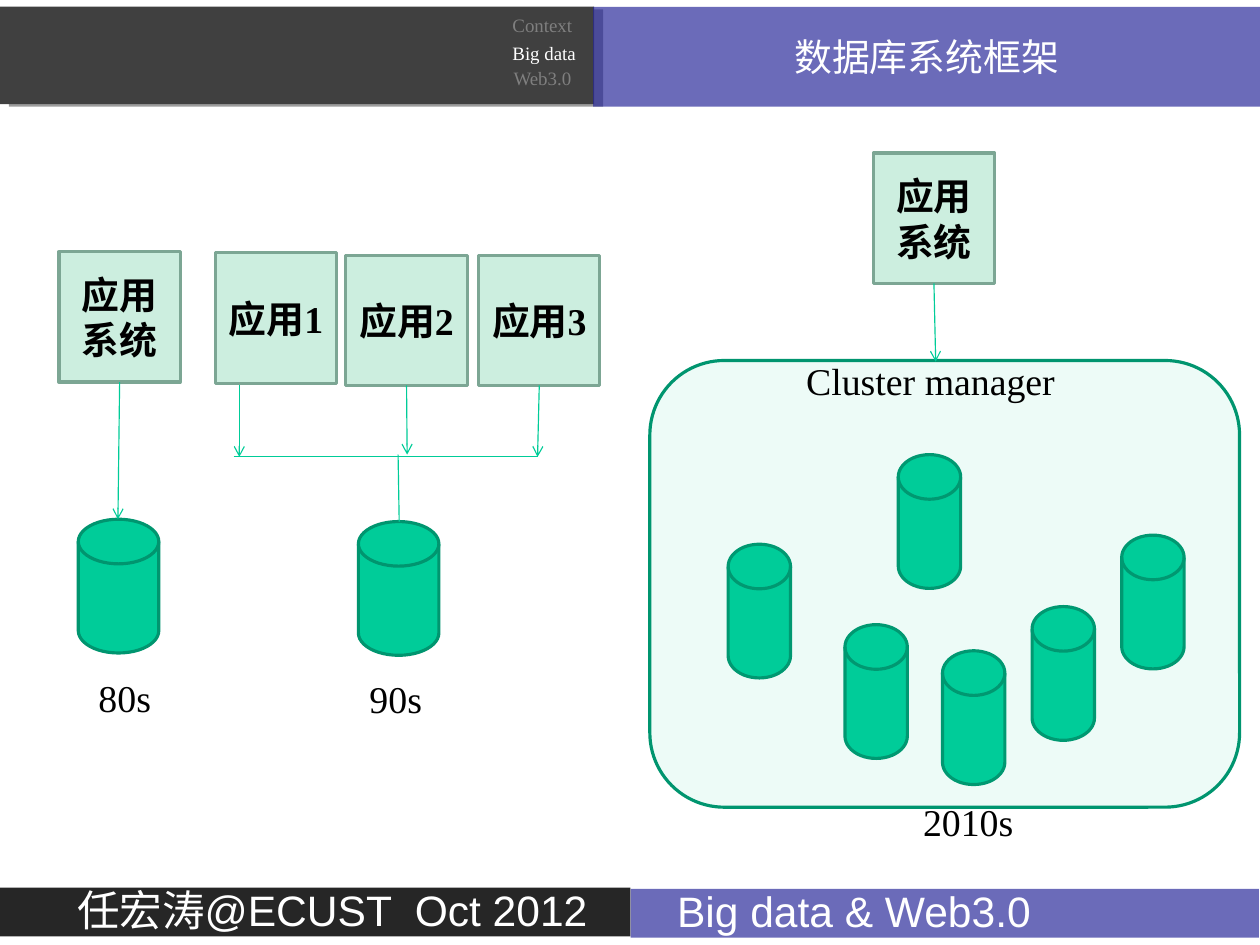
from dataclasses import dataclass
from typing import Optional

import pptx
import pptx.dml.color
import pptx.enum.shapes
import pptx.enum.text
import pptx.oxml
import pptx.oxml.ns
import pptx.util
from lxml import etree
from pptx.util import Inches

SHAPES = pptx.enum.shapes.MSO_SHAPE
ALIGN = pptx.enum.text.PP_ALIGN
ANCHOR = pptx.enum.text.MSO_ANCHOR
SERIF, SANS = "Times New Roman", "Arial"
BLACK, WHITE, GREY = "000000", "FFFFFF", "7F7F7F"
BANNER_BLUE, GREEN, DARK_GREEN, LINE_GREEN = "262699", "00CC99", "00956F", "00CC98"
SLIDE_SIZE = (pptx.util.Emu(10158413), pptx.util.Emu(7621588))
APP_SIZE = (1.07, 1.15)
DISK_HEIGHT = 1.18


@dataclass
class Application:
    left: float
    top: float
    text: str
    arrow_end: Optional[tuple[float, float]] = None


@dataclass
class Disk:
    left: float
    top: float
    width: float = 0.55


@dataclass
class Label:
    left: float
    top: float
    width: float
    text: str
    size: float = 24
    color: str = BLACK


APPLICATIONS = [
    Application(0.52, 2.22, "应用系统", (1.04, 4.58)),
    Application(1.9, 2.23, "应用1"),
    Application(3.05, 2.25, "应用2", (3.59, 4.01)),
    Application(4.22, 2.25, "应用3", (4.74, 4.03)),
    Application(7.7, 1.35, "应用系统", (8.25, 3.19)),
]
DISKS = [
    Disk(0.69, 4.58, 0.71), Disk(3.16, 4.6, 0.71),
    Disk(6.42, 4.8), Disk(7.92, 4.01), Disk(9.89, 4.72),
    Disk(7.45, 5.51), Disk(8.31, 5.74), Disk(9.1, 5.35),
]
LABELS = [
    Label(4.42, 0.07, 0.73, "Context", 12, GREY),
    Label(4.42, 0.32, 0.76, "Big data", 12, WHITE),
    Label(4.43, 0.54, 0.72, "Web3.0", 12, GREY),
    Label(0.77, 5.9, 0.66, "80s"),
    Label(3.16, 5.91, 0.66, "90s"),
    Label(8.04, 7, 1, "2010s"),
    Label(7.01, 3.11, 2.4, "Cluster manager"),
]


def rgb(color: str) -> pptx.dml.color.RGBColor:
    return pptx.dml.color.RGBColor.from_string(color)


def write_text(shape, text: str, *, size: float = 24, font: str = SERIF, color: str = BLACK,
               bold: bool = False, align=ALIGN.LEFT, anchor=ANCHOR.TOP, wrap: bool = True,
               margins: tuple[float, float] = (0.1, 0.05), line_spacing: Optional[float] = None) -> None:
    frame = shape.text_frame
    frame.word_wrap = wrap
    if not wrap:
        frame.auto_size = pptx.enum.text.MSO_AUTO_SIZE.SHAPE_TO_FIT_TEXT
    frame.vertical_anchor = anchor
    frame.margin_left = frame.margin_right = Inches(margins[0])
    frame.margin_top = frame.margin_bottom = Inches(margins[1])
    paragraph = frame.paragraphs[0]
    paragraph.alignment = align
    paragraph.line_spacing = line_spacing
    run = paragraph.add_run()
    run.text = text
    run.font.size = pptx.util.Pt(size)
    run.font.name = font
    run.font.bold = bold
    run.font.color.rgb = rgb(color)


def add_block(slide, kind, left: float, top: float, width: float, height: float, fill: str,
              line: Optional[str] = None, opacity: int = 100):
    """Add a flat preset shape; opacity is in percent."""
    shape = slide.shapes.add_shape(kind, Inches(left), Inches(top), Inches(width), Inches(height))
    shape.shadow.inherit = False
    shape.fill.solid()
    shape.fill.fore_color.rgb = rgb(fill)
    if opacity < 100:
        color = shape._element.spPr.find(".//" + pptx.oxml.ns.qn("a:srgbClr"))
        etree.SubElement(color, pptx.oxml.ns.qn("a:alpha"), val=str(opacity * 1000))
    if line:
        shape.line.color.rgb = rgb(line)
        shape.line.width = pptx.util.Pt(2)
    else:
        shape.line.fill.background()
    return shape


def add_banner_shadow(shape) -> None:
    effects = shape._element.spPr.find(pptx.oxml.ns.qn("a:effectLst"))
    effects.append(pptx.oxml.parse_xml(
        f'<a:outerShdw {pptx.oxml.ns.nsdecls("a")} dist="74930" dir="960000" algn="tl" '
        'rotWithShape="0"><a:srgbClr val="000000"><a:alpha val="38000"/></a:srgbClr></a:outerShdw>'))


def add_line(slide, start: tuple[float, float], end: tuple[float, float], arrow: bool = False):
    connector = slide.shapes.add_connector(
        pptx.enum.shapes.MSO_CONNECTOR.STRAIGHT, *(Inches(value) for value in start + end))
    connector.line.color.rgb = rgb(LINE_GREEN)
    connector.line.width = pptx.util.Pt(0.75)
    if arrow:
        etree.SubElement(connector.line._get_or_add_ln(), pptx.oxml.ns.qn("a:tailEnd"), type="arrow")
    etree.SubElement(connector._element.spPr, pptx.oxml.ns.qn("a:effectLst"))
    return connector


def add_application(slide, application: Application) -> None:
    width, height = APP_SIZE
    box = add_block(slide, SHAPES.RECTANGLE, application.left, application.top, width, height,
                    "CCEEDF", "7CA694")
    write_text(box, application.text, bold=True, align=ALIGN.CENTER, anchor=ANCHOR.MIDDLE)
    if application.arrow_end:
        bottom = (application.left + width / 2, application.top + height)
        add_line(slide, bottom, application.arrow_end, arrow=True).begin_connect(box, 2)


def add_label(slide, label: Label) -> None:
    height = 0.5 if label.size == 24 else 0.3
    box = slide.shapes.add_textbox(Inches(label.left), Inches(label.top),
                                   Inches(label.width), Inches(height))
    write_text(box, label.text, size=label.size, color=label.color, wrap=False)


def add_header(slide) -> None:
    add_banner_shadow(add_block(slide, SHAPES.RECTANGLE, 0, 0.06, 5.24, 0.86, "404040"))
    title = add_block(slide, SHAPES.RECTANGLE, 5.23, 0.06, 5.88, 0.88, BANNER_BLUE, opacity=68)
    write_text(title, "数据库系统框架", color=WHITE, align=ALIGN.CENTER, anchor=ANCHOR.MIDDLE)


def add_footer(slide) -> None:
    topic = add_block(slide, SHAPES.RECTANGLE, 5.56, 7.84, 5.54, 0.43, BANNER_BLUE, opacity=68)
    author = add_block(slide, SHAPES.RECTANGLE, 0, 7.83, 5.56, 0.43, "262626")
    for bar, text, indent in ((topic, "Big data & Web3.0", 0.41),
                              (author, "任宏涛@ECUST  Oct 2012", 0.68)):
        write_text(bar, text, size=27, font=SANS, color=WHITE, margins=(0, 0), line_spacing=0.95)
        bar.text_frame.margin_left = Inches(indent)


def main() -> None:
    presentation = pptx.Presentation()
    presentation.slide_width, presentation.slide_height = SLIDE_SIZE
    slide = presentation.slides.add_slide(presentation.slide_layouts[6])

    add_header(slide)
    for disk in DISKS:
        add_block(slide, SHAPES.FLOWCHART_MAGNETIC_DISK, disk.left, disk.top, disk.width,
                  DISK_HEIGHT, GREEN, DARK_GREEN)
    add_block(slide, SHAPES.ROUNDED_RECTANGLE, 5.73, 3.18, 5.2, 3.94, GREEN, DARK_GREEN, opacity=7)
    for application in APPLICATIONS:
        add_application(slide, application)
    add_line(slide, (2.11, 3.4), (2.11, 4.03), arrow=True)
    add_line(slide, (2.06, 4.03), (4.74, 4.03))
    add_line(slide, (3.52, 4.6), (3.51, 4.01))
    for label in LABELS:
        add_label(slide, label)
    add_footer(slide)
    presentation.save("out.pptx")


if __name__ == "__main__":
    main()
